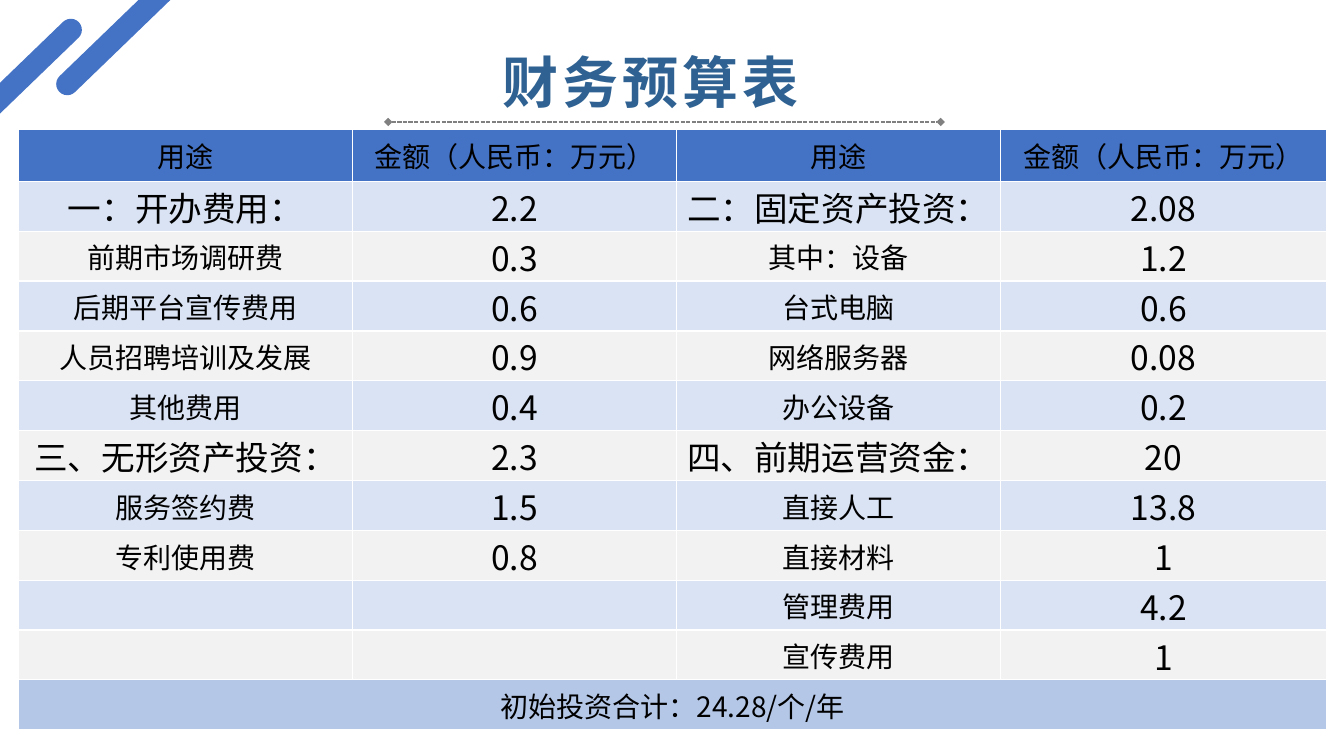
from pptx import Presentation
from pptx.dml.color import RGBColor
from pptx.enum.dml import MSO_LINE_DASH_STYLE as Dash
from pptx.enum.shapes import MSO_CONNECTOR as Connector, MSO_SHAPE as Shape
from pptx.enum.text import MSO_ANCHOR as Anchor, PP_ALIGN as Align
from pptx.oxml.ns import qn
from pptx.util import Inches, Pt
from lxml.etree import SubElement

HEADER = ("用途", "金额（人民币：万元）") * 2
BUDGET = [
    ("一：开办费用：", "2.2", "二：固定资产投资：", "2.08"),
    ("前期市场调研费", "0.3", "其中：设备", "1.2"),
    ("后期平台宣传费用", "0.6", "台式电脑", "0.6"),
    ("人员招聘培训及发展", "0.9", "网络服务器", "0.08"),
    ("其他费用", "0.4", "办公设备", "0.2"),
    ("三、无形资产投资：", "2.3", "四、前期运营资金：", "20"),
    ("服务签约费", "1.5", "直接人工", "13.8"),
    ("专利使用费", "0.8", "直接材料", "1"),
    ("", "", "管理费用", "4.2"),
    ("", "", "宣传费用", "1"),
]
TOTAL = "初始投资合计：24.28/个/年"


def color(value):
    return RGBColor.from_string(value)


class BudgetSlide:
    blue, title_blue, gray = "4472C4", "2F6292", "808080"
    bands, total_fill = ("DAE3F3", "F2F2F2"), "B4C7E7"
    white, black = "FFFFFF", "000000"
    title_font, table_font = "Noto Sans", "Noto Sans CJK SC"

    def __init__(self, presentation):
        self.slide = presentation.slides.add_slide(presentation.slide_layouts[5])

    def style_run(self, run, font_name, size, hex_color, bold=False):
        run.font.name = font_name
        run.font.size = Pt(size)
        run.font.bold = bold
        run.font.color.rgb = color(hex_color)
        SubElement(run.font._element, qn("a:ea"), typeface=self.table_font)

    def title(self, text, left, top, width, height):
        shape = self.slide.shapes.title
        shape.left, shape.top = Inches(left), Inches(top)
        shape.width, shape.height = Inches(width), Inches(height)
        frame = shape.text_frame
        frame.text = text
        frame.vertical_anchor = Anchor.MIDDLE
        paragraph = frame.paragraphs[0]
        paragraph.alignment = Align.JUSTIFY
        run = paragraph.runs[0]
        self.style_run(run, self.title_font, 40, self.title_blue, bold=True)
        run.font._element.set("spc", "300")

    def stripe(self, left, top):
        shape = self.slide.shapes.add_shape(
            Shape.ROUNDED_RECTANGLE, Inches(left), Inches(top), Inches(1.7), Inches(0.22))
        shape.adjustments[0] = 0.5
        shape.rotation = 316
        shape.shadow.inherit = False
        shape.fill.solid()
        shape.fill.fore_color.rgb = color(self.blue)
        shape.line.fill.background()

    def diamond_line(self, left, right, y):
        connector = self.slide.shapes.add_connector(
            Connector.STRAIGHT, Inches(left), Inches(y), Inches(right), Inches(y))
        line = connector.line
        line.color.rgb = color(self.gray)
        line.width = Pt(1)
        line.dash_style = Dash.SQUARE_DOT
        properties = connector._element.spPr
        outline = properties.find(qn("a:ln"))
        for end in ("a:headEnd", "a:tailEnd"):
            SubElement(outline, qn(end), type="diamond")
        SubElement(properties, qn("a:effectLst"))

    def cell(self, cell, text, size, fill):
        cell.margin_left = cell.margin_right = cell.margin_top = Inches(0.01)
        cell.margin_bottom = 0
        cell.vertical_anchor = Anchor.MIDDLE
        properties = cell._tc.get_or_add_tcPr()
        for side in ("a:lnL", "a:lnR", "a:lnT", "a:lnB"):
            border = SubElement(properties, qn(side), w=str(Pt(1)))
            solid = SubElement(border, qn("a:solidFill"))
            SubElement(solid, qn("a:srgbClr"), val=self.white)
        cell.fill.solid()
        cell.fill.fore_color.rgb = color(fill)
        if text:
            cell.text_frame.text = text
            paragraph = cell.text_frame.paragraphs[0]
            paragraph.alignment = Align.CENTER
            self.style_run(paragraph.runs[0], self.table_font, size, self.black)

    def table(self, left, top, height, widths, header_height):
        rows = [HEADER, *BUDGET, (TOTAL, "", "", "")]
        table = self.slide.shapes.add_table(
            len(rows), len(widths), Inches(left), Inches(top),
            Inches(sum(widths)), Inches(height)).table
        table.first_row = table.horz_banding = False
        for column, width in zip(table.columns, widths):
            column.width = Inches(width)
        row_height = (height - header_height) / (len(rows) - 1)
        last = len(rows) - 1
        for index, texts in enumerate(rows):
            table.rows[index].height = Inches(row_height if index else header_height)
            if index == 0:
                fill = self.blue
            elif index == last:
                fill = self.total_fill
            else:
                fill = self.bands[(index - 1) % 2]
            for column, text in enumerate(texts):
                # Amounts and section headings are larger than single items
                is_amount = column % 2 == 1
                is_section = text.endswith("：")
                large = index > 0 and (is_amount or is_section)
                self.cell(table.cell(index, column), text, 24 if large else 20, fill)
        table.cell(last, 0).merge(table.cell(last, len(widths) - 1))


def main():
    presentation = Presentation()
    presentation.slide_width = Inches(13.33)
    presentation.slide_height = Inches(7.5)
    budget = BudgetSlide(presentation)

    # Budget table
    budget.table(0.18, 1.28, 5.96, (3.32, 3.21, 3.21, 3.24), 0.52)

    # Corner stripes
    budget.stripe(-0.68, 0.7)
    budget.stripe(0.35, 0.21)

    # Title and its underline
    budget.diamond_line(3.85, 9.33, 1.21)
    budget.title("财务预算表", 4.88, 0.42, 3.42, 0.77)

    presentation.save("out.pptx")


if __name__ == "__main__":
    main()
